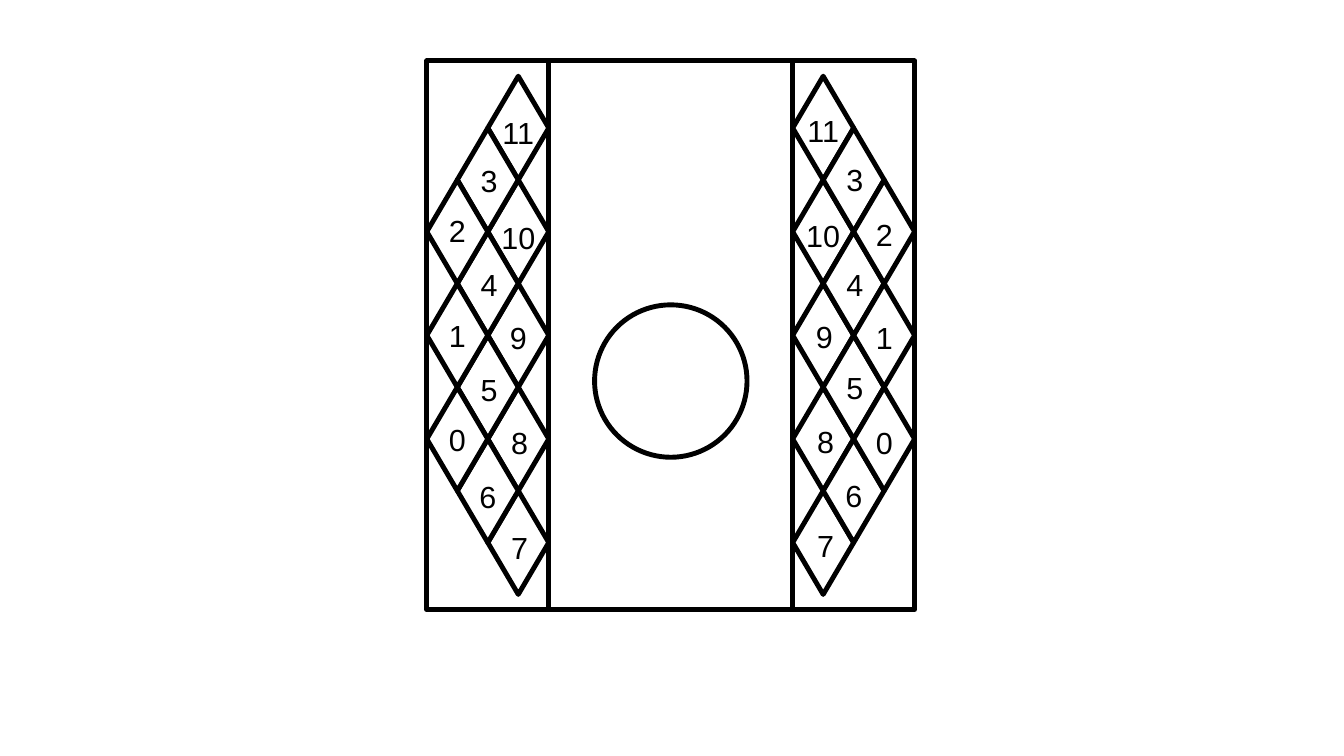
from pptx import Presentation
from pptx.dml.color import RGBColor
from pptx.enum.shapes import MSO_SHAPE
from pptx.enum.text import PP_ALIGN
from pptx.util import Pt

RECTANGLE = MSO_SHAPE.RECTANGLE
DIAMOND = MSO_SHAPE.DIAMOND
OVAL = MSO_SHAPE.OVAL
CENTER = PP_ALIGN.CENTER

COLORS = {"fill": "FFFFFF", "ink": "000000"}
FONT_NAME, FONT_SIZE = "Arial", 18
LINE_WIDTH = 2.89

# number, column from the inner edge, row, label nudge on the left and right side
CELLS = [
    ("11", 0, 0, {"left": (0, 2.2), "right": (0, 0.7)}),
    ("10", 0, 2, {"left": (0, 2.9), "right": (0, 1.4)}),
    ("9", 0, 4, {"left": (0, 0.7), "right": (0.7, 0)}),
    ("8", 0, 6, {"left": (0.7, 1.4), "right": (1.4, 0.7)}),
    ("7", 0, 8, {"left": (0.7, 2.2), "right": (1.4, 0.7)}),
    ("3", 1, 1, {"left": (0.7, -0.4), "right": (0.7, -1)}),
    ("4", 1, 3, {"left": (0.7, -0.4), "right": (0.7, -0.4)}),
    ("5", 1, 5, {"left": (0.7, 0.4), "right": (0.7, -0.4)}),
    ("6", 1, 7, {"left": (0, 2.5), "right": (0, 1.8)}),
    ("2", 2, 2, {"left": (0, -1.4), "right": (0, 0.7)}),
    ("1", 2, 4, {"left": (0, -0.7), "right": (0, 0.7)}),
    ("0", 2, 6, {"left": (0, -0.7), "right": (0, 1.4)}),
]

PANEL_TOP, PANEL_HEIGHT, SIDE_WIDTH = 36, 324, 72
CENTRE_LEFT, CENTRE_WIDTH = 324, 144
CENTRE_RIGHT = CENTRE_LEFT + CENTRE_WIDTH
CIRCLE_TOP, CIRCLE_SIZE = 180, 90
DIAMOND_WIDTH, DIAMOND_HEIGHT = 36, 61.2
FIRST_CENTRE = 75.6
LABEL_RISE = 13.7
LABEL_SIZES = {1: (27.4, 27.4), 2: (40.3, 47.5)}
SIDES = {
    "left": (CENTRE_LEFT - SIDE_WIDTH, CENTRE_LEFT, -1),
    "right": (CENTRE_RIGHT, CENTRE_RIGHT, 1),
}


def add_outline(shapes, kind, left, top, width, height):
    shape = shapes.add_shape(kind, Pt(left), Pt(top), Pt(width), Pt(height))
    shape.shadow.inherit = False
    shape.fill.solid()
    shape.fill.fore_color.rgb = RGBColor.from_string(COLORS["fill"])
    shape.line.color.rgb = RGBColor.from_string(COLORS["ink"])
    shape.line.width = Pt(LINE_WIDTH)


def add_label(slide, text, centre_x, centre_y):
    width, height = LABEL_SIZES[len(text)]
    box = slide.shapes.add_textbox(
        Pt(centre_x - width / 2), Pt(centre_y - LABEL_RISE), Pt(width), Pt(height))
    box.text_frame.word_wrap = True
    paragraph = box.text_frame.paragraphs[0]
    paragraph.text = text
    paragraph.alignment = CENTER
    paragraph.font.name = FONT_NAME
    paragraph.font.size = Pt(FONT_SIZE)
    paragraph.font.color.rgb = RGBColor.from_string(COLORS["ink"])


def add_side(slide, side):
    panel_left, inner_edge, direction = SIDES[side]
    add_outline(slide.shapes, RECTANGLE, panel_left, PANEL_TOP, SIDE_WIDTH, PANEL_HEIGHT)
    centres = [
        (inner_edge + direction * (column + 1) * DIAMOND_WIDTH / 2,
         FIRST_CENTRE + row * DIAMOND_HEIGHT / 2)
        for _, column, row, _ in CELLS
    ]
    lattice = slide.shapes.add_group_shape()
    for x, y in centres:
        add_outline(lattice.shapes, DIAMOND, x - DIAMOND_WIDTH / 2,
                    y - DIAMOND_HEIGHT / 2, DIAMOND_WIDTH, DIAMOND_HEIGHT)
    for (number, _, _, nudges), (x, y) in zip(CELLS, centres):
        nudge_x, nudge_y = nudges[side]
        add_label(slide, number, x + nudge_x, y + nudge_y)


def main():
    presentation = Presentation()
    presentation.slide_width = Pt(793.44)
    presentation.slide_height = Pt(446.4)
    slide = presentation.slides.add_slide(presentation.slide_layouts[6])
    add_outline(slide.shapes, RECTANGLE, CENTRE_LEFT, PANEL_TOP, CENTRE_WIDTH, PANEL_HEIGHT)
    add_side(slide, "right")
    circle_left = CENTRE_LEFT + (CENTRE_WIDTH - CIRCLE_SIZE) / 2
    add_outline(slide.shapes, OVAL, circle_left, CIRCLE_TOP, CIRCLE_SIZE, CIRCLE_SIZE)
    add_side(slide, "left")
    presentation.save("out.pptx")


if __name__ == "__main__":
    main()
